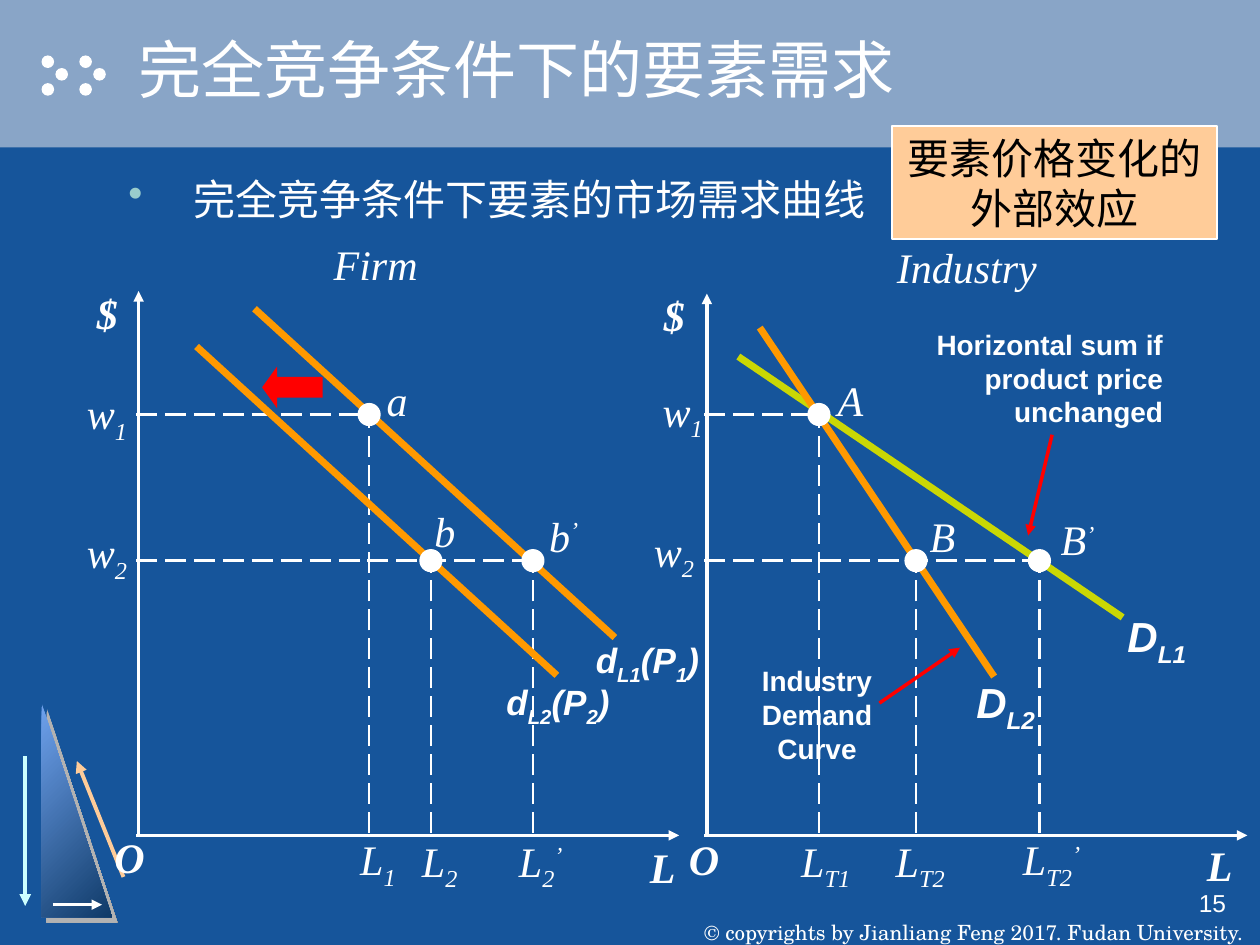
from dataclasses import dataclass

from lxml import etree
from pptx import Presentation
from pptx import util as u
from pptx.dml.color import RGBColor
from pptx.enum import dml, shapes, text
from pptx.oxml.ns import qn

Inches, Pt = u.Inches, u.Pt
SHAPE, ALIGN = shapes.MSO_SHAPE, text.PP_ALIGN


@dataclass(frozen=True)
class Theme:
    background: str = "16559B"
    band: str = "89A5C7"
    white: str = "FFFFFF"
    black: str = "000000"
    red: str = "FF0000"
    orange: str = "FF9900"
    lime: str = "CAD704"
    peach: str = "FFCC99"
    aqua: str = "CCFFFF"
    bullet: str = "99CCCC"
    shadow: str = "B2B2B2"
    triangle: tuple = ("6FA2ED", "0F3A68")
    serif: str = "Times New Roman"
    sans: str = "Arial"
    school: str = "TeX Gyre Schola"
    title: int = 36
    body: int = 24
    curve: int = 20
    note: int = 16
    number: int = 14
    footer: int = 12


THEME = Theme()
BASELINES = {"_": "-25000", "^": "30000"}


def rgb(value):
    return RGBColor.from_string(value)


def add_effect(parent, tag, **attributes):
    """Append one drawing element and return it."""
    return etree.SubElement(parent, qn(tag), attributes)


def write_text(frame, content, size=THEME.body, font=THEME.serif, color=THEME.white,
               bold=False, italic=False, align=ALIGN.LEFT, anchor=text.MSO_ANCHOR.TOP,
               wrap=False, bullet=None, margin=0.05):
    """Fill a frame; "|" splits runs, "_" lowers a run and "^" raises it."""
    frame.word_wrap = wrap
    frame.auto_size = text.MSO_AUTO_SIZE.NONE
    frame.vertical_anchor = anchor
    frame.margin_left = frame.margin_right = Inches(0.1)
    frame.margin_top = frame.margin_bottom = Inches(margin)
    for index, line in enumerate(content.split("\n")):
        paragraph = frame.add_paragraph() if index else frame.paragraphs[0]
        paragraph.alignment = align
        if bullet:
            properties = paragraph._p.get_or_add_pPr()
            properties.set("marL", str(Inches(0.52)))
            properties.set("indent", str(-Inches(0.52)))
            add_effect(add_effect(properties, "a:buClr"), "a:srgbClr", val=bullet)
            add_effect(properties, "a:buChar", char="•")
        for part in line.split("|"):
            run = paragraph.add_run()
            run.text = part.lstrip("_^")
            if part[0] in BASELINES:
                run._r.get_or_add_rPr().set("baseline", BASELINES[part[0]])
            run.font.size, run.font.name = Pt(size), font
            run.font.bold, run.font.italic = bold, italic
            run.font.color.rgb = rgb(color)


class SlideBuilder:
    def __init__(self, presentation, theme):
        self.theme = theme
        self.slide = presentation.slides.add_slide(presentation.slide_layouts[5])
        self.slide.background.fill.solid()
        self.slide.background.fill.fore_color.rgb = rgb(theme.background)

    def shape(self, kind, left, top, width, height, fill=None, line=None):
        shape = self.slide.shapes.add_shape(
            kind, Inches(left), Inches(top), Inches(width), Inches(height))
        shape.shadow.inherit = False
        if fill:
            shape.fill.solid()
            shape.fill.fore_color.rgb = rgb(fill)
        if line:
            shape.line.color.rgb = rgb(line)
            shape.line.width = Pt(1)
        else:
            shape.line.fill.background()
        return shape

    def line(self, start, end, color=THEME.white, width=2.0, arrow=False, dashed=False):
        connector = self.slide.shapes.add_connector(
            shapes.MSO_CONNECTOR.STRAIGHT, *(Inches(value) for value in (*start, *end)))
        connector.line.color.rgb = rgb(color)
        connector.line.width = Pt(width)
        if dashed:
            connector.line.dash_style = dml.MSO_LINE.LONG_DASH
        if arrow:
            add_effect(connector.line._get_or_add_ln(), "a:tailEnd", type="triangle")
        add_effect(connector._element.spPr, "a:effectLst")

    def label(self, content, left, top, width, height=0.5, **style):
        box = self.slide.shapes.add_textbox(
            Inches(left), Inches(top), Inches(width), Inches(height))
        write_text(box.text_frame, content, **style)

    def dot(self, x, y):
        self.shape(SHAPE.OVAL, x - 0.085, y - 0.085, 0.17, 0.17,
                   self.theme.white, self.theme.white)

    def title(self, content):
        title = self.slide.shapes.title
        title.left, title.top = Inches(1), Inches(0)
        title.width, title.height = Inches(9), Inches(1.08)
        write_text(title.text_frame, content, size=self.theme.title, font=self.theme.sans,
                   anchor=text.MSO_ANCHOR.MIDDLE, wrap=True)
        # Text shadow sits right after the run's fill
        properties = title.text_frame.paragraphs[0].runs[0]._r.rPr
        effects = etree.Element(qn("a:effectLst"))
        shadow = add_effect(effects, "a:outerShdw", dist="25400", dir="2700000")
        add_effect(shadow, "a:srgbClr", val=self.theme.black)
        properties.find(qn("a:solidFill")).addnext(effects)
        # Bring the title in front of the band
        self.slide.shapes._spTree.append(title._element)

    def decoration(self):
        theme = self.theme
        self.shape(SHAPE.RECTANGLE, 0, 0, 10, 1.17, theme.band)
        for left in (0.33, 0.63):
            for shift, top in ((0, 0.44), (0.11, 0.54), (0, 0.66)):
                self.shape(SHAPE.OVAL, left + shift, top, 0.1, 0.1, theme.white)
        triangle = self.shape(SHAPE.RIGHT_TRIANGLE, 0.33, 5.58, 0.56, 1.7)
        triangle.fill.gradient()
        triangle.fill.gradient_angle = 315
        for stop, color, position in zip(triangle.fill.gradient_stops, theme.triangle, (0, 1)):
            stop.color.rgb, stop.position = rgb(color), position
        effects = triangle._element.spPr.find(qn("a:effectLst"))
        shadow = add_effect(effects, "a:outerShdw", dist=str(Pt(4.2)), dir="2700000")
        add_effect(shadow, "a:srgbClr", val=theme.shadow)
        self.line((0.2, 6), (0.2, 7.19), theme.aqua, 2.25, arrow=True)
        self.line((0.98, 6.96), (0.61, 6.04), theme.peach, 2.25, arrow=True)
        self.line((0.42, 7.18), (0.81, 7.18), width=1.5, arrow=True)

    def diagram(self, origin, top, guides, curves, points, labels, axis_labels):
        """Draw axes, dashed guides, demand curves, points and their labels."""
        self.line((origin, BASE), (origin, top), arrow=True)
        self.line((origin - 0.02, BASE), (origin + 4.29, BASE), arrow=True)
        for x, y in guides:
            self.line((origin - 0.02, y), (x, y), width=1.5, dashed=True)
        for x, y in points:
            self.line((x, BASE - 0.02), (x, y), width=1.5, dashed=True)
        for start, end, color in curves:
            self.line(start, end, color, 4)
        for x, y in points:
            self.dot(x, y)
        for content, *place in labels:
            self.label(content, *place, italic=True)
        for content, *place in axis_labels:
            self.label(content, *place, italic=True, bold=True)


# Shared heights: two wage levels and the labour axis
WAGE_1, WAGE_2, BASE = 3.29, 4.45, 6.63


def main():
    presentation = Presentation()
    presentation.slide_width, presentation.slide_height = Inches(10), Inches(7.5)
    theme = THEME
    builder = SlideBuilder(presentation, theme)
    builder.decoration()
    builder.title("完全竞争条件下的要素需求")

    # Footer, slide number and body line
    builder.label("© copyrights by Jianliang Feng 2017. Fudan University.", 5.44, 7, 4.58,
                  size=theme.footer, font=theme.school, align=ALIGN.CENTER,
                  anchor=text.MSO_ANCHOR.BOTTOM, margin=0)
    builder.label("15", 7.75, 7, 2.08, size=theme.number, font=theme.sans,
                  align=ALIGN.RIGHT, wrap=True)
    builder.label("完全竞争条件下要素的市场需求曲线", 0.92, 1.33, 8.17, 5,
                  wrap=True, bullet=theme.bullet)

    # Firm and industry diagrams
    builder.diagram(
        1.1, 2.31, guides=[(2.93, WAGE_1), (4.23, WAGE_2)],
        curves=[((2.02, 2.45), (4.88, 5.06), theme.orange),
                ((1.56, 2.75), (4.42, 5.36), theme.orange)],
        points=[(2.93, WAGE_1), (3.42, WAGE_2), (4.23, WAGE_2)],
        labels=[("Firm", 2.55, 1.84, 0.86), ("w|_1", 0.59, 3.03, 0.52),
                ("w|_2", 0.59, 4.13, 0.52), ("a", 2.97, 2.92, 0.36),
                ("b", 3.35, 3.96, 0.36), ("b|^’", 4.26, 4, 0.43),
                ("L|_1", 2.76, 6.57, 0.48), ("L|_2", 3.25, 6.58, 0.48),
                ("L|_2|^’", 4.02, 6.58, 0.55)],
        axis_labels=[("$", 0.67, 2.23, 0.36), ("O", 0.81, 6.55, 0.44), ("L", 5.06, 6.63, 0.4)])
    builder.diagram(
        5.61, 2.33, guides=[(6.5, WAGE_1), (8.25, WAGE_2)],
        curves=[((5.86, 2.83), (8.91, 4.9), theme.lime),
                ((6.03, 2.6), (7.89, 5.37), theme.orange)],
        points=[(6.5, WAGE_1), (7.27, WAGE_2), (8.25, WAGE_2)],
        labels=[("Industry", 7.02, 1.87, 1.31), ("w|_1", 5.16, 3.01, 0.52),
                ("w|_2", 5.09, 4.12, 0.52), ("A", 6.55, 2.92, 0.4),
                ("B", 7.28, 4, 0.4), ("B|^’", 8.32, 4.03, 0.47),
                ("L|_T1", 6.26, 6.58, 0.59), ("L|_T2", 7.01, 6.58, 0.59),
                ("L|_T2|^’", 8.02, 6.57, 0.65)],
        axis_labels=[("$", 5.17, 2.25, 0.36), ("O", 5.37, 6.57, 0.44), ("L", 9.48, 6.61, 0.4)])

    # Curve names
    for content, left, top, width, size in (
            ("d|_L1|(P|_1|)", 4.63, 5.02, 1.02, theme.curve),
            ("d|_L2|(P|_2|)", 3.92, 5.35, 1.02, theme.curve),
            ("D|_L1", 8.85, 4.8, 0.66, theme.body),
            ("D|_L2", 7.65, 5.32, 0.66, theme.body)):
        builder.label(content, left, top, width, size=size, font=theme.sans,
                      bold=True, italic=True)

    # Notes with red pointers, and the shift arrow
    note = dict(size=theme.note, font=theme.sans, bold=True)
    builder.label("Horizontal sum if\nproduct price\nunchanged", 7.33, 2.55, 2, 0.9,
                  align=ALIGN.RIGHT, **note)
    builder.line((8.35, 3.45), (8.16, 4.25), theme.red, arrow=True)
    builder.label("Industry\nDemand\nCurve", 5.95, 5.22, 1.07, 0.9,
                  align=ALIGN.CENTER, **note)
    builder.line((6.98, 5.58), (7.62, 5.14), theme.red, arrow=True)
    shift = builder.shape(SHAPE.LEFT_ARROW, 2.08, 2.91, 0.48, 0.33, theme.red)
    shift.adjustments[1] = 0.36

    # Callout
    callout = builder.shape(SHAPE.RECTANGLE, 7.08, 1, 2.58, 0.9, theme.peach, theme.white)
    write_text(callout.text_frame, "要素价格变化的\n外部效应", color=theme.black,
               align=ALIGN.CENTER, wrap=True)

    presentation.save("out.pptx")


if __name__ == "__main__":
    main()
